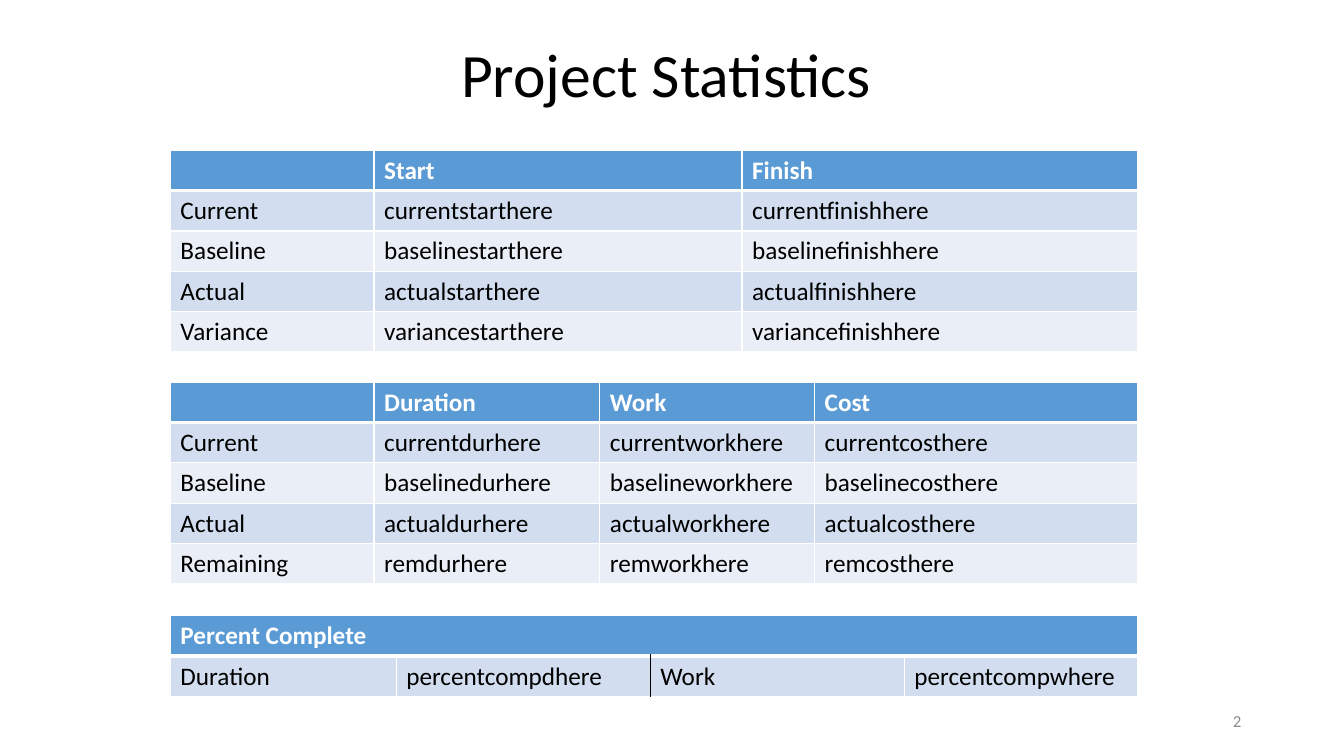
from dataclasses import dataclass

from lxml.etree import SubElement
from pptx import Presentation
from pptx.dml.color import RGBColor
from pptx.enum.text import MSO_ANCHOR, PP_ALIGN
from pptx.oxml.ns import qn
from pptx.util import Inches, Pt


@dataclass(frozen=True)
class Theme:
    """Colours, font and type sizes of the slide."""
    font: str = "Calibri"
    ink: str = "000000"
    white: str = "FFFFFF"
    grey: str = "8C8C8C"
    head: str = "5B9BD5"
    bands: tuple = ("D2DEEF", "EAEFF7")
    title: int = 44
    body: int = 18
    note: int = 12


THEME = Theme()
LEFT, WIDTH, ROW = 1.69, 9.59, 0.4


def add_run(para, text, size, color, bold=False):
    """Add one styled run to a paragraph."""
    run = para.add_run()
    run.text = text
    font = run.font
    font.name, font.size, font.bold = THEME.font, Pt(size), bold
    font.color.rgb = RGBColor.from_string(color)


def add_text(slide, box, text, size, color, align):
    """Place a line of text, centred in height, in its box."""
    frame = slide.shapes.add_textbox(*map(Inches, box)).text_frame
    frame.word_wrap = True
    frame.vertical_anchor = MSO_ANCHOR.MIDDLE
    para = frame.paragraphs[0]
    para.alignment = align
    add_run(para, text, size, color)


def set_edge(cell, side, color, width=1):
    """Draw one border of a cell; call in the order L, R, T, B."""
    props = cell._tc.get_or_add_tcPr()
    line = SubElement(props, qn(f"a:ln{side}"), w=str(Pt(width)))
    fill = SubElement(line, qn("a:solidFill"))
    SubElement(fill, qn("a:srgbClr"), val=color)


def add_grid(slide, box, cols, rows, split=None):
    """Fill a box with a banded table; split is the column before a dark rule."""
    shape = slide.shapes.add_table(len(rows), len(cols), *map(Inches, box))
    table = shape.table
    for col, width in zip(table.columns, cols):
        col.width = Inches(width)
    for i, texts in enumerate(rows):
        table.rows[i].height = Inches(box[3] / len(rows))
        head = i == 0
        back = THEME.head if head else THEME.bands[(i - 1) % 2]
        color = THEME.white if head else THEME.ink
        for j in range(len(cols)):
            cell = table.cell(i, j)
            for side, near in (("L", j - 1), ("R", j)):
                dark = not head and near == split
                set_edge(cell, side, THEME.ink if dark else THEME.white)
            set_edge(cell, "T", THEME.white, 3 if i == 1 else 1)
            set_edge(cell, "B", THEME.white, 3 if head else 1)
            cell.fill.solid()
            cell.fill.fore_color.rgb = RGBColor.from_string(back)
            if j < len(texts) and texts[j]:
                para = cell.text_frame.paragraphs[0]
                add_run(para, texts[j], THEME.body, color, head)
        if len(texts) == 1:
            table.cell(i, 0).merge(table.cell(i, len(cols) - 1))


def add_stats(slide, top, cols, heads, names):
    """Place a table whose values are field names made from row and column."""
    rows = [["", *heads]]
    for name, stem in names:
        rows.append([name, *(f"{stem}{tail}here" for tail in heads.values())])
    add_grid(slide, (LEFT, top, WIDTH, ROW * len(rows)), cols, rows)


def add_share(slide, top):
    """Place the percent complete table."""
    rows = [["Percent Complete"],
            ["Duration", "percentcompdhere", "Work", "percentcompwhere"]]
    box = (LEFT, top, WIDTH, ROW * len(rows))
    add_grid(slide, box, (2.24, 2.52, 2.52, 2.31), rows, split=1)


def build():
    """Build the project statistics slide and save it."""
    deck = Presentation()
    deck.slide_width, deck.slide_height = Inches(13.33), Inches(7.5)
    slide = deck.slides.add_slide(deck.slide_layouts[6])
    add_text(slide, (0.86, 0, 11.5, 1.45), "Project Statistics",
             THEME.title, THEME.ink, PP_ALIGN.CENTER)
    add_text(slide, (8.83, 6.95, 3.58, 0.4), "2",
             THEME.note, THEME.grey, PP_ALIGN.RIGHT)
    names = [(name, name.lower()) for name in ("Current", "Baseline", "Actual")]
    add_stats(slide, 1.49, (2.02, 3.65, 3.92),
              {"Start": "start", "Finish": "finish"},
              [*names, ("Variance", "variance")])
    add_stats(slide, 3.79, (2.02, 2.24, 2.13, 3.2),
              {"Duration": "dur", "Work": "work", "Cost": "cost"},
              [*names, ("Remaining", "rem")])
    add_share(slide, 6.11)
    deck.save("out.pptx")


build()
